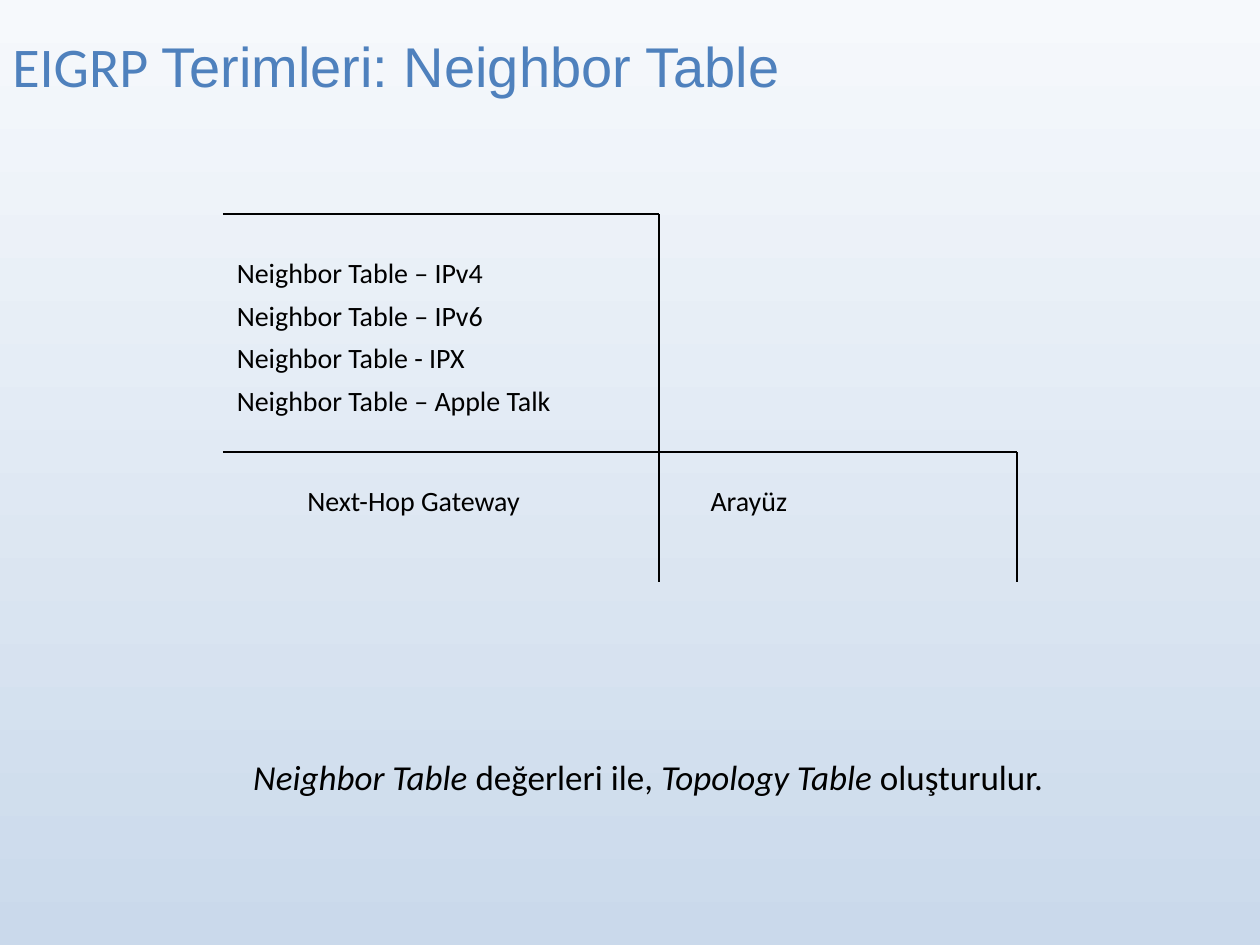
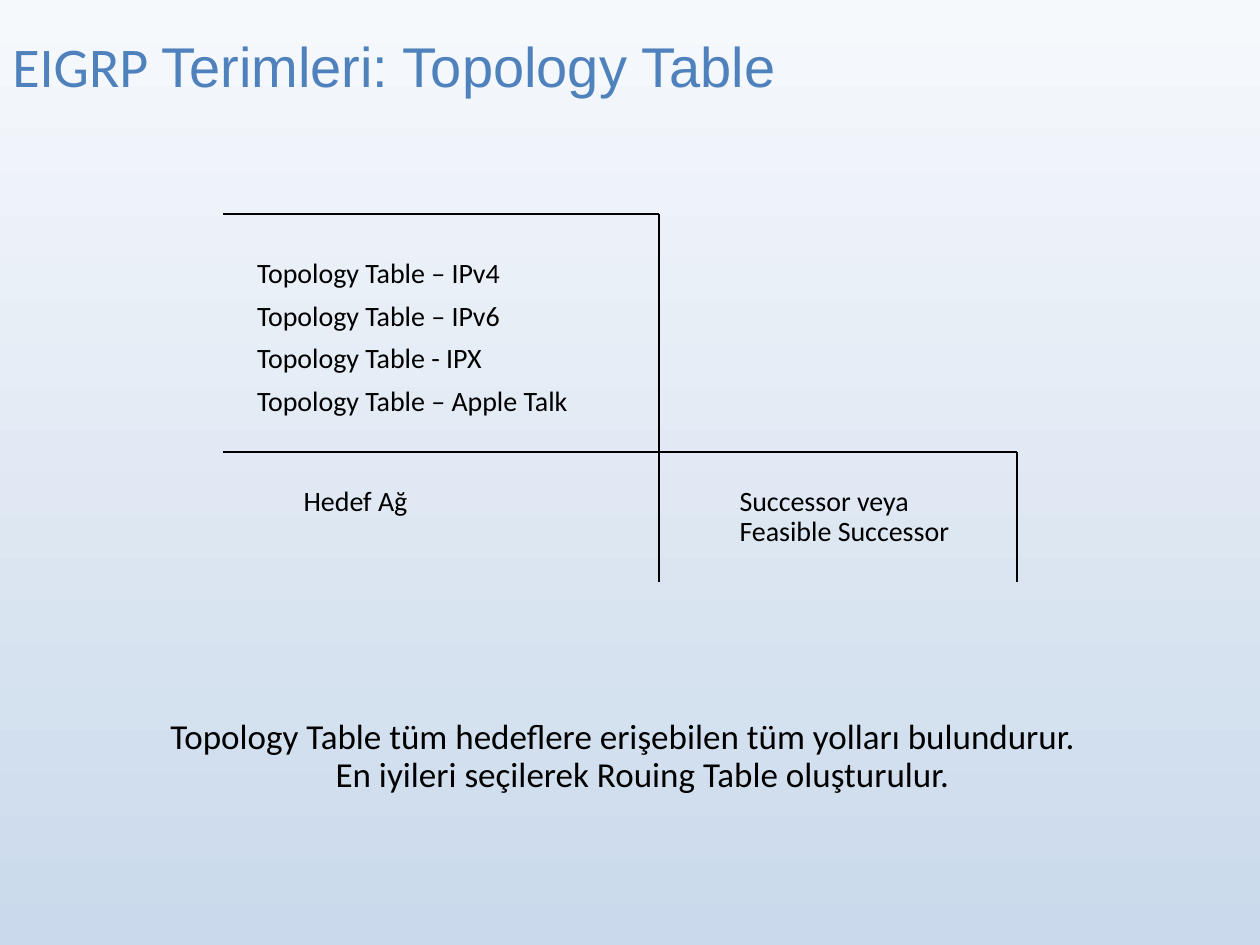
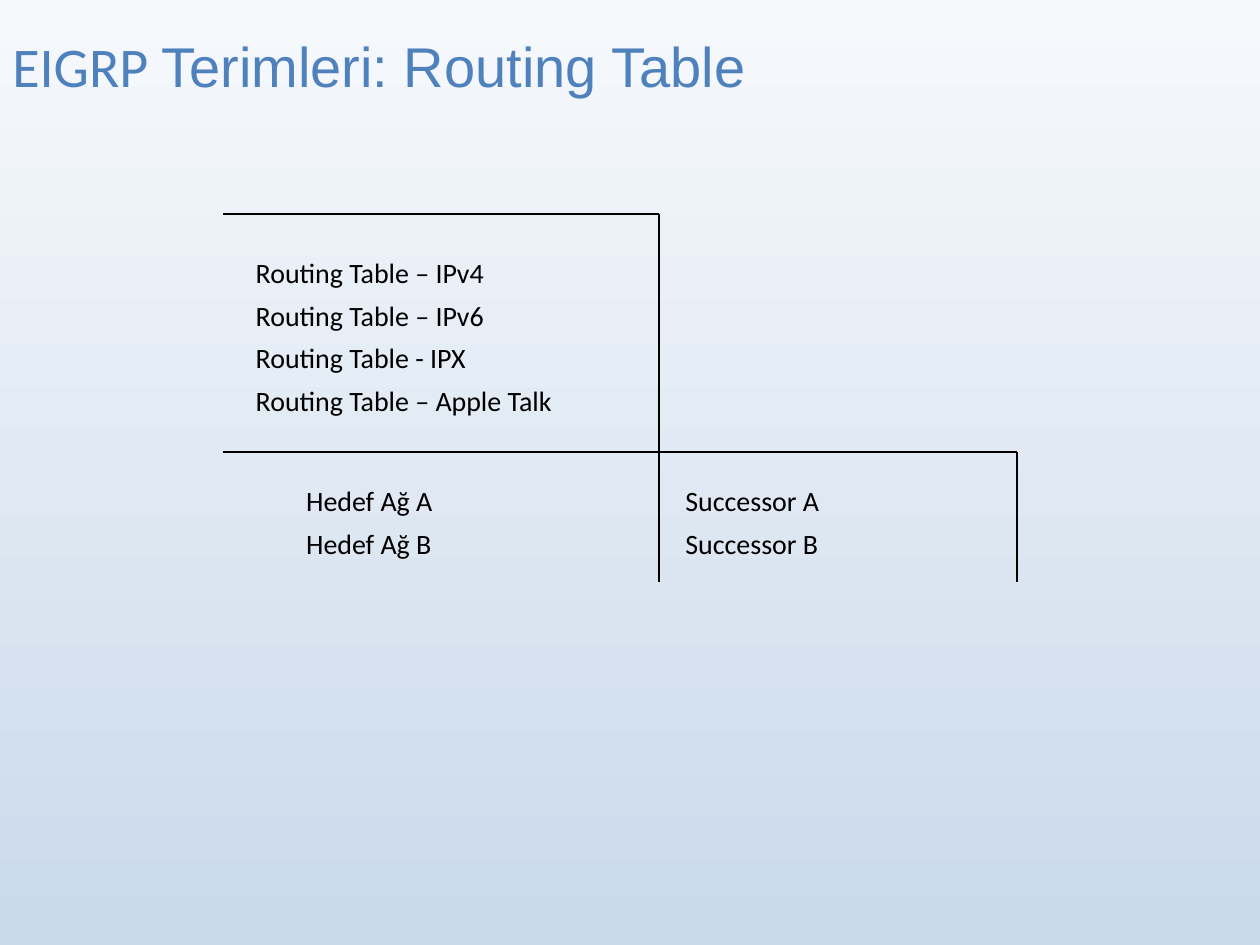
from dataclasses import dataclass, field

from lxml import etree
from pptx import Presentation
from pptx.dml.color import RGBColor
from pptx.enum.shapes import MSO_CONNECTOR as Connector
from pptx.enum.text import MSO_ANCHOR as Anchor, MSO_AUTO_SIZE as AutoSize, PP_ALIGN as Align
from pptx.oxml.ns import qn
from pptx.presentation import Presentation as Deck
from pptx.slide import Slide
from pptx.util import Inches, Pt


# Theme: colours, fonts and type sizes
@dataclass(frozen=True)
class Theme:
    title: RGBColor = RGBColor(0x4F, 0x81, 0xBD)
    ink: RGBColor = RGBColor(0, 0, 0)
    shadow: str = "C0C0C0"
    background: tuple = (RGBColor(0xF6, 0xF9, 0xFC), RGBColor(0xCA, 0xD9, 0xEB))
    body_font: str = "Calibri"
    title_font: str = "Arial"
    title_size: int = 32
    label_size: int = 16
    summary_size: int = 20
    line_width: int = 1


THEME = Theme()


# Content model
@dataclass(frozen=True)
class Span:
    text: str
    italic: bool = False


@dataclass(frozen=True)
class Label:
    left: float
    top: float
    width: float
    height: float
    paras: list[list[Span]]
    size: int = THEME.label_size
    space_before: float = 7
    align: Align = Align.LEFT
    first_indent: float = -0.25


@dataclass(frozen=True)
class TermSlide:
    term: str
    list_left: float
    list_width: float
    labels: list[Label] = field(default_factory=list)


def plain(*lines: str) -> list[list[Span]]:
    return [[Span(line)] for line in lines]


def cell(left: float, width: float, height: float, *lines: str, first_indent: float = -0.25) -> Label:
    """Text of a cell in the lower row of the frame."""
    return Label(left, CELL_TOP, width, height, plain(*lines), first_indent=first_indent)


def summary(left: float, top: float, width: float, height: float, *spans: Span) -> Label:
    """Centred sentence below the frame."""
    return Label(left, top, width, height, [list(spans)], THEME.summary_size, 8.8, Align.CENTER)


# Frame geometry
LEFT, MIDDLE, RIGHT = 1.77, 5.23, 8.07
TOP, DIVIDER, BOTTOM = 1.7, 3.59, 4.62
LIST_TOP, LIST_HEIGHT, CELL_TOP = 2.02, 1.33, 3.83
FRAME = [
    (MIDDLE, TOP, MIDDLE, BOTTOM),
    (RIGHT, DIVIDER, RIGHT, BOTTOM),
    (LEFT, TOP, MIDDLE, TOP),
    (LEFT, DIVIDER, RIGHT, DIVIDER),
]
PROTOCOLS = ("– IPv4", "– IPv6", "- IPX", "– Apple Talk")

SLIDES = [
    TermSlide("Neighbor Table", 1.67, 3.31, [
        cell(2.23, 2.49, 0.32, "Next-Hop Gateway"),
        cell(5.18, 1.65, 0.32, "Arayüz", first_indent=0),
        summary(1.5, 5.99, 7.16, 0.38, Span("Neighbor Table", True), Span(" değerleri ile, "),
                Span("Topology Table", True), Span(" oluşturulur.")),
    ]),
    TermSlide("Topology Table", 1.83, 3.31, [
        cell(2.2, 1.61, 0.32, "Hedef Ağ"),
        cell(5.41, 2.44, 0.56, "Successor veya \vFeasible Successor", first_indent=0),
        summary(0.85, 5.67, 8.12, 0.68,
                Span("Topology Table tüm hedeflere erişebilen tüm yolları bulundurur. "
                     "\vEn iyileri seçilerek Rouing Table oluşturulur.")),
    ]),
    TermSlide("Routing Table", 1.82, 3.17, [
        cell(2.22, 1.79, 0.66, "Hedef Ağ A", "Hedef Ağ B"),
        cell(5.23, 1.85, 0.66, "Successor A", "Successor B"),
    ]),
]


# Drawing helpers
def apply(target: object, values: dict) -> None:
    for name, value in values.items():
        setattr(target, name, value)


def style_font(font, name: str, size: int, color: RGBColor, italic: bool = False) -> None:
    apply(font, {"name": name, "size": Pt(size), "italic": italic})
    font.color.rgb = color


def add_text_shadow(run) -> None:
    fill = run._r.rPr.find(qn("a:solidFill"))
    effects = etree.Element(qn("a:effectLst"))
    shadow = etree.SubElement(effects, qn("a:outerShdw"), blurRad="38100", dist="38100", dir="2700000")
    etree.SubElement(shadow, qn("a:srgbClr"), val=THEME.shadow)
    fill.addnext(effects)


def add_title(slide: Slide, term: str) -> None:
    box = slide.shapes.add_textbox(Inches(0), Inches(-0.11), Inches(9), Inches(1.25))
    apply(box.text_frame, {"word_wrap": True, "vertical_anchor": Anchor.MIDDLE})
    para = box.text_frame.paragraphs[0]
    for text, font in (("EIGRP ", THEME.body_font), (f"Terimleri: {term}", THEME.title_font)):
        run = para.add_run()
        run.text = text
        style_font(run.font, font, THEME.title_size, THEME.title)


def add_frame(slide: Slide) -> None:
    for ends in FRAME:
        line = slide.shapes.add_connector(Connector.STRAIGHT, *map(Inches, ends))
        line.line.color.rgb = THEME.ink
        line.line.width = Pt(THEME.line_width)
        etree.SubElement(line._element.spPr, qn("a:effectLst"))


def add_spans(para, spans: list[Span], size: int) -> None:
    for span in spans:
        for index, text in enumerate(span.text.split("\v")):
            if index:
                para.add_line_break()
            run = para.add_run()
            run.text = text
            style_font(run.font, THEME.body_font, size, THEME.ink, span.italic)
            add_text_shadow(run)


def add_label(slide: Slide, label: Label) -> None:
    box = slide.shapes.add_textbox(*map(Inches, (label.left, label.top, label.width, label.height)))
    frame = box.text_frame
    apply(frame, {
        "word_wrap": False, "auto_size": AutoSize.SHAPE_TO_FIT_TEXT,
        "margin_left": Inches(0.08), "margin_right": Inches(0.08),
        "margin_top": Inches(0.04), "margin_bottom": Inches(0.04),
    })
    for index, spans in enumerate(label.paras):
        para = frame.add_paragraph() if index else frame.paragraphs[0]
        apply(para, {"alignment": label.align, "line_spacing": 0.9, "space_before": Pt(label.space_before)})
        properties = para._p.get_or_add_pPr()
        properties.set("marL", str(Inches(0.38)))
        properties.set("indent", str(Inches(label.first_indent)))
        add_spans(para, spans, label.size)


def paint_background(deck: Deck) -> None:
    fill = deck.slide_master.background.fill
    fill.gradient()
    fill.gradient_angle = 270
    for stop, color in zip(fill.gradient_stops, THEME.background):
        stop.color.rgb = color


def add_term_slide(deck: Deck, term_slide: TermSlide) -> None:
    slide = deck.slides.add_slide(deck.slide_layouts[6])
    add_title(slide, term_slide.term)
    add_frame(slide)
    tables = plain(*(f"{term_slide.term} {protocol}" for protocol in PROTOCOLS))
    add_label(slide, Label(term_slide.list_left, LIST_TOP, term_slide.list_width, LIST_HEIGHT, tables))
    for label in term_slide.labels:
        add_label(slide, label)


def main() -> None:
    deck = Presentation()
    apply(deck, {"slide_width": Inches(10), "slide_height": Inches(7.5)})
    paint_background(deck)
    for term_slide in SLIDES:
        add_term_slide(deck, term_slide)
    deck.save("out.pptx")


if __name__ == "__main__":
    main()
